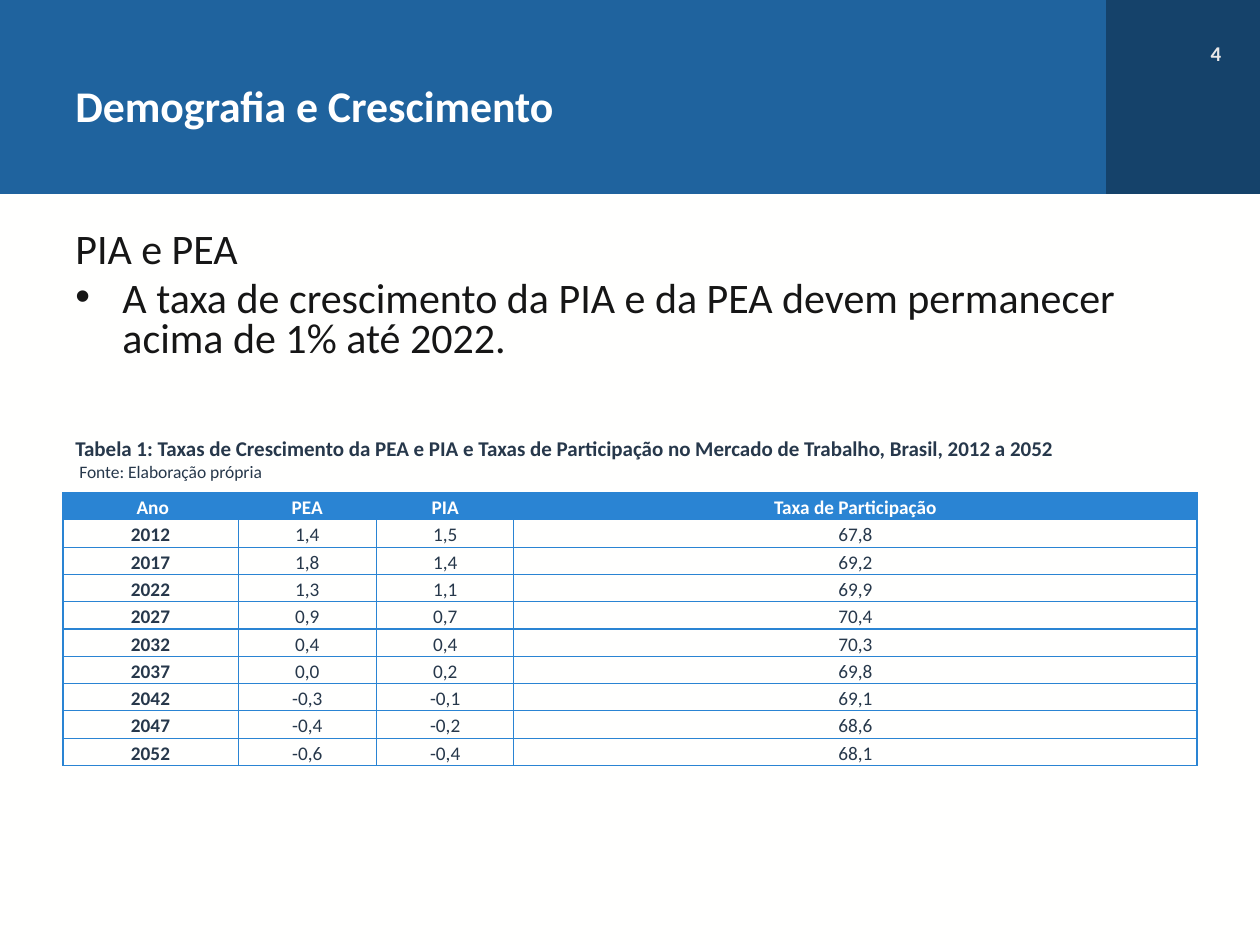
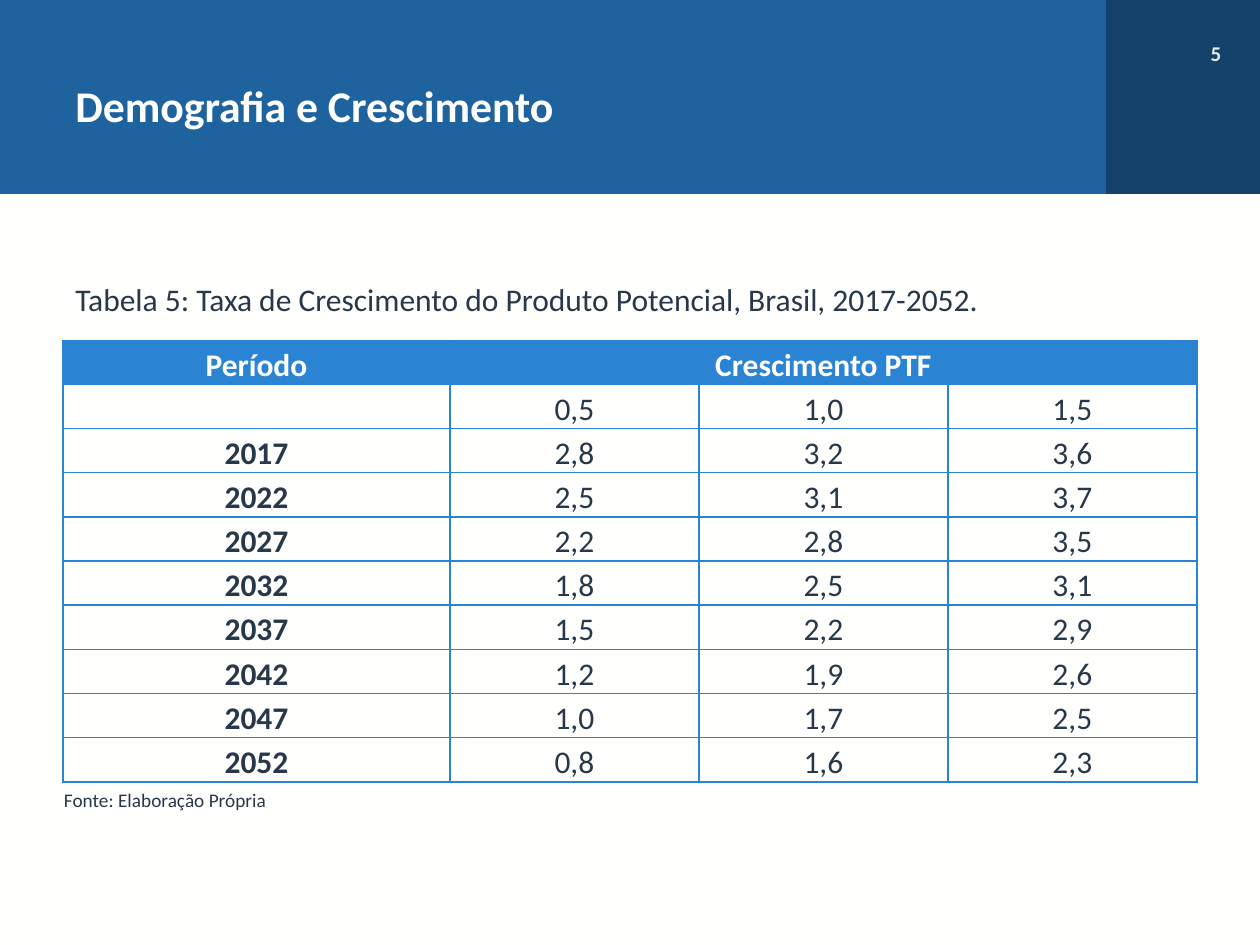
"""Build two slides on demography and growth, each with a data table."""
from lxml.etree import SubElement
from pptx import Presentation
from pptx.dml.color import RGBColor
from pptx.enum.shapes import MSO_SHAPE as Shape
from pptx.enum.text import MSO_ANCHOR as Anchor, PP_ALIGN as Align
from pptx.oxml.ns import qn
from pptx.util import Cm, Pt

FONT = "Calibri"
BACKGROUND = RGBColor(0xFF, 0xFF, 0xFE)
BAND = RGBColor(0x1F, 0x63, 0x9E)
BAND_END = RGBColor(0x15, 0x42, 0x6A)
PAGE_NUMBER = RGBColor(0xEA, 0xE8, 0xE8)
WHITE = RGBColor(0xFF, 0xFF, 0xFF)
BODY = RGBColor(0x16, 0x16, 0x16)
SLATE = RGBColor(0x27, 0x38, 0x4B)
TABLE_BLUE = RGBColor(0x2A, 0x84, 0xD3)

TITLE = "Demografia e Crescimento"
LEFT = 1.27
BAND_HEIGHT = 3.91


def write(para, text, size, color, bold=False, **layout):
    span = para.add_run()
    span.text = text
    for name, value in {"name": FONT, "size": Pt(size), "bold": bold}.items():
        setattr(span.font, name, value)
    span.font.color.rgb = color
    for name, value in layout.items():
        setattr(para, name, value)


def add_frame(page, left, top, width, height, anchor=Anchor.TOP):
    box = page.shapes.add_textbox(Cm(left), Cm(top), Cm(width), Cm(height))
    frame = box.text_frame
    frame.word_wrap = True
    frame.vertical_anchor = anchor
    return frame


deck = Presentation()
deck.slide_width, deck.slide_height = Cm(25.4), Cm(19.05)

pages = []
for number in (4, 5):
    page = deck.slides.add_slide(deck.slide_layouts[6])
    pages.append(page)
    page.background.fill.solid()
    page.background.fill.fore_color.rgb = BACKGROUND
    for left, width, color in ((0, 25.4, BAND), (22.3, 3.1, BAND_END)):
        band = page.shapes.add_shape(Shape.RECTANGLE, Cm(left), 0, Cm(width), Cm(BAND_HEIGHT))
        band.shadow.inherit = False
        band.fill.solid()
        band.fill.fore_color.rgb = color
        band.line.fill.background()
    frame = add_frame(page, 21.11, 0.79, 3.76, 1.02)
    write(frame.paragraphs[0], str(number), 12, PAGE_NUMBER, True,
          alignment=Align.RIGHT, line_spacing=0.8)
    frame = add_frame(page, LEFT, 0.76, 20.6, 2.92, Anchor.MIDDLE)
    write(frame.paragraphs[0], TITLE, 25, WHITE, True, line_spacing=0.8)

participation_page, product_page = pages

frame = add_frame(participation_page, LEFT, 4.55, 23.6, 3.12)
write(frame.paragraphs[0], "PIA e PEA", 24, BODY, line_spacing=0.8, space_before=Pt(5))
bullet = frame.add_paragraph()
write(bullet, "A taxa de crescimento da PIA e da PEA devem permanecer acima de 1% até 2022.",
      24, BODY, line_spacing=0.8, space_before=Pt(5))
properties = bullet._p.get_or_add_pPr()
properties.set("marL", str(Cm(0.95)))
properties.set("indent", str(Cm(-0.95)))
SubElement(properties, qn("a:buFont"), typeface="Arial")
SubElement(properties, qn("a:buChar"), char="•")

participation_rows = [
    (" Ano", "PEA", "PIA", "Taxa de Participação"),
    ("2012", "1,4", "1,5", "67,8"),
    ("2017", "1,8", "1,4", "69,2"),
    ("2022", "1,3", "1,1", "69,9"),
    ("2027", "0,9", "0,7", "70,4"),
    ("2032", "0,4", "0,4", "70,3"),
    ("2037", "0,0", "0,2", "69,8"),
    ("2042", "-0,3", "-0,1", "69,1"),
    ("2047", "-0,4", "-0,2", "68,6"),
    ("2052", "-0,6", "-0,4", "68,1"),
]
product_rows = [
    ("Período", "Crescimento PTF", "", ""),
    ("", "0,5", "1,0", "1,5"),
    ("2017", "2,8", "3,2", "3,6"),
    ("2022", "2,5", "3,1", "3,7"),
    ("2027", "2,2", "2,8", "3,5"),
    ("2032", "1,8", "2,5", "3,1"),
    ("2037", "1,5", "2,2", "2,9"),
    ("2042", "1,2", "1,9", "2,6"),
    ("2047", "1,0", "1,7", "2,5"),
    ("2052", "0,8", "1,6", "2,3"),
]
table_plans = [
    (participation_page, participation_rows, 9.93, (3.53, 2.79, 2.77, 13.77), 0.55, 11, 0.75, Anchor.BOTTOM),
    (product_page, product_rows, 6.86, (7.8, 5.02, 5.02, 5.02), 0.89, 18, 1, Anchor.MIDDLE),
]
tables = []
for page, rows, top, widths, row_height, size, line_width, anchor in table_plans:
    table = page.shapes.add_table(len(rows), len(widths), Cm(LEFT), Cm(top),
                                  Cm(sum(widths)), Cm(row_height * len(rows))).table
    tables.append(table)
    for column, width in zip(table.columns, widths):
        column.width = Cm(width)
    for r, row in enumerate(rows):
        table.rows[r].height = Cm(row_height)
        for c, text in enumerate(row):
            cell = table.cell(r, c)
            header = r == 0
            cell_format = {
                "margin_left": Cm(0.13), "margin_right": Cm(0.13),
                "margin_top": 0, "margin_bottom": 0,
                "vertical_anchor": Anchor.BOTTOM if header else anchor,
            }
            for name, value in cell_format.items():
                setattr(cell, name, value)
            if text:
                write(cell.text_frame.paragraphs[0], text, size, WHITE if header else SLATE,
                      header or c == 0, alignment=Align.CENTER, line_spacing=1.15)
            borders = cell._tc.get_or_add_tcPr()
            for side in ("a:lnL", "a:lnR", "a:lnT", "a:lnB"):
                line = SubElement(borders, qn(side), w=str(Pt(line_width)))
                fill = SubElement(line, qn("a:solidFill"))
                SubElement(fill, qn("a:srgbClr"), val=str(TABLE_BLUE))
            if header:
                cell.fill.solid()
                cell.fill.fore_color.rgb = TABLE_BLUE
            else:
                cell.fill.background()

product_table = tables[1]
product_table.cell(0, 1).merge(product_table.cell(0, 3))

frame = add_frame(participation_page, LEFT, 8.66, 22.86, 1.19, Anchor.MIDDLE)
write(frame.paragraphs[0],
      "Tabela 1: Taxas de Crescimento da PEA e PIA e Taxas de Participação no Mercado de Trabalho, "
      "Brasil, 2012 a 2052", 12, SLATE, True, alignment=Align.JUSTIFY)
write(frame.add_paragraph(), " Fonte: Elaboração própria", 10, SLATE, alignment=Align.JUSTIFY)

frame = add_frame(product_page, LEFT, 5.51, 19.08, 1.02, Anchor.MIDDLE)
write(frame.paragraphs[0], "Tabela 5: Taxa de Crescimento do Produto Potencial, Brasil, 2017-2052.",
      18, SLATE, alignment=Align.JUSTIFY)
frame = add_frame(product_page, 1.04, 15.77, 12.55, 0.74)
write(frame.paragraphs[0], "Fonte: Elaboração Própria", 11, SLATE)

deck.save("out.pptx")
